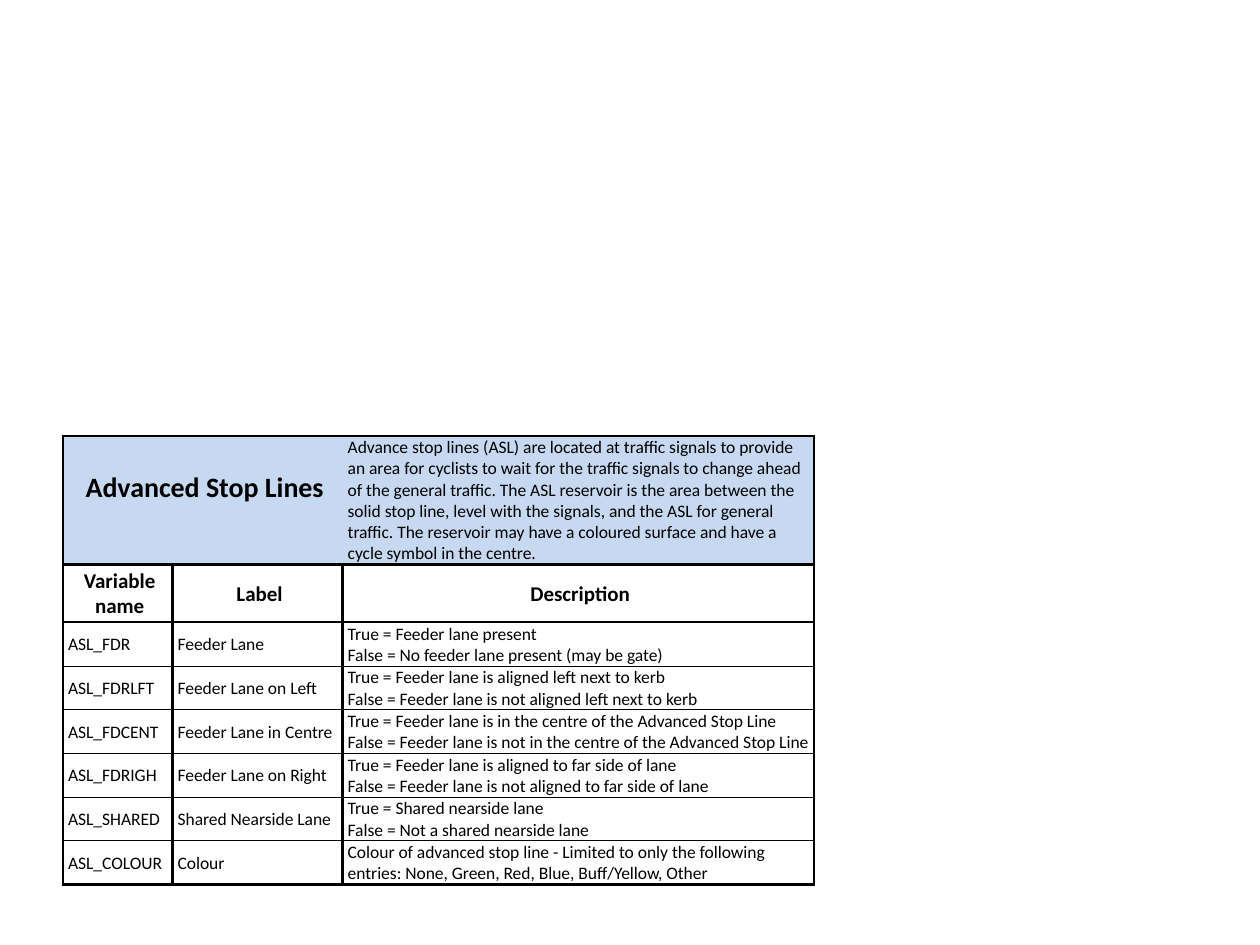
"""Build the slide with the Advanced Stop Lines variable table."""
from dataclasses import dataclass

from lxml import etree
from pptx import Presentation
from pptx.dml.color import RGBColor
from pptx.enum.text import MSO_ANCHOR, PP_ALIGN
from pptx.oxml.ns import qn
from pptx.util import Pt

TOP, MIDDLE = MSO_ANCHOR.TOP, MSO_ANCHOR.MIDDLE
LEFT, CENTER = PP_ALIGN.LEFT, PP_ALIGN.CENTER

TITLE = "Advanced Stop Lines"
INTRO = (
    "Advance stop lines (ASL) are located at traffic signals to provide an area for "
    "cyclists to wait for the traffic signals to change ahead of the general traffic. "
    "The ASL reservoir is the area between the solid stop line, level with the signals, "
    "and the ASL for general traffic. The reservoir may have a coloured surface and have "
    "a cycle symbol in the centre."
)
HEADINGS = ("Variable name", "Label", "Description")
VARIABLES = [
    ("ASL_FDR", "Feeder Lane",
     "True = Feeder lane present\nFalse = No feeder lane present (may be gate)"),
    ("ASL_FDRLFT", "Feeder Lane on Left",
     "True = Feeder lane is aligned left next to kerb\n"
     "False = Feeder lane is not aligned left next to kerb"),
    ("ASL_FDCENT", "Feeder Lane in Centre",
     "True = Feeder lane is in the centre of the Advanced Stop Line\n"
     "False = Feeder lane is not in the centre of the Advanced Stop Line"),
    ("ASL_FDRIGH", "Feeder Lane on Right",
     "True = Feeder lane is aligned to far side of lane\n"
     "False = Feeder lane is not aligned to far side of lane"),
    ("ASL_SHARED", "Shared Nearside Lane",
     "True = Shared nearside lane\nFalse = Not a shared nearside lane"),
    ("ASL_COLOUR", "Colour",
     "Colour of advanced stop line - Limited to only the following entries: "
     "None, Green, Red, Blue, Buff/Yellow, Other"),
]

TABLE_LEFT, TABLE_TOP, TABLE_HEIGHT = 36, 249, 254.2
COLUMN_WIDTHS = (62.6, 97.2, 269.3)
ROW_HEIGHTS = (68.4, 33.1) + (18,) * len(VARIABLES)


@dataclass(frozen=True)
class Theme:
    font: str = "Calibri"
    ink: str = "000000"
    band: str = "C6D9F1"
    paper: str = "FFFFFF"
    title: int = 16
    heading: int = 12
    body: int = 10
    thick: float = 1.5
    thin: float = 0.5


THEME = Theme()


def set_borders(cell, left, right, top, bottom):
    properties = cell._tc.get_or_add_tcPr()
    sides = (("a:lnL", left), ("a:lnR", right), ("a:lnT", top), ("a:lnB", bottom))
    for index, (tag, width) in enumerate(sides):
        line = etree.Element(qn(tag), w=str(Pt(width)))
        if width:
            ink = etree.SubElement(line, qn("a:solidFill"))
            etree.SubElement(ink, qn("a:srgbClr"), val=THEME.ink)
        else:
            etree.SubElement(line, qn("a:noFill"))
        properties.insert(index, line)


def write_cell(cell, text, size, bold=False, align=LEFT, fill=None, anchor=MIDDLE, inset=0.7):
    cell.margin_left, cell.margin_right = Pt(2.9), Pt(0.7)
    cell.margin_top, cell.margin_bottom = Pt(inset), Pt(0)
    cell.vertical_anchor = anchor
    if fill:
        cell.fill.solid()
        cell.fill.fore_color.rgb = RGBColor.from_string(fill)
    else:
        cell.fill.background()
    paragraph = cell.text_frame.paragraphs[0]
    paragraph.text = text
    paragraph.alignment = align
    for run in paragraph.runs:
        run.font.name, run.font.size, run.font.bold = THEME.font, Pt(size), bold
        run.font.color.rgb = RGBColor.from_string(THEME.ink)


def main():
    presentation = Presentation()
    presentation.slide_width, presentation.slide_height = Pt(720), Pt(540)
    slide = presentation.slides.add_slide(presentation.slide_layouts[6])
    frame = slide.shapes.add_table(
        len(ROW_HEIGHTS), len(COLUMN_WIDTHS), Pt(TABLE_LEFT), Pt(TABLE_TOP),
        Pt(sum(COLUMN_WIDTHS)), Pt(TABLE_HEIGHT))
    table = frame.table
    table.first_row = table.horz_banding = False
    for column, width in zip(table.columns, COLUMN_WIDTHS):
        column.width = Pt(width)
    for row, height in zip(table.rows, ROW_HEIGHTS):
        row.height = Pt(height)
    frame.height = Pt(TABLE_HEIGHT)

    table.cell(0, 0).merge(table.cell(0, 1))
    write_cell(table.cell(0, 0), TITLE, THEME.title, True, CENTER, THEME.band, TOP, 20.2)
    write_cell(table.cell(0, 2), INTRO, THEME.body, fill=THEME.band)
    column_fills = (THEME.paper, None, THEME.paper)
    for column, (heading, fill) in enumerate(zip(HEADINGS, column_fills)):
        write_cell(table.cell(1, column), heading, THEME.heading, True, CENTER, fill)
    for row, variable in enumerate(VARIABLES, start=2):
        for column, (text, fill) in enumerate(zip(variable, column_fills)):
            write_cell(table.cell(row, column), text, THEME.body, fill=fill)

    last_row, last_column = len(ROW_HEIGHTS) - 1, len(COLUMN_WIDTHS) - 1
    for row in range(last_row + 1):
        top = THEME.thick if row <= 2 else THEME.thin
        bottom = THEME.thick if row <= 1 or row == last_row else THEME.thin
        for column in range(last_column + 1):
            left = THEME.thick if row or column == 0 else 0
            right = THEME.thick if row or column == last_column else 0
            set_borders(table.cell(row, column), left, right, top, bottom)

    presentation.save("out.pptx")


if __name__ == "__main__":
    main()
